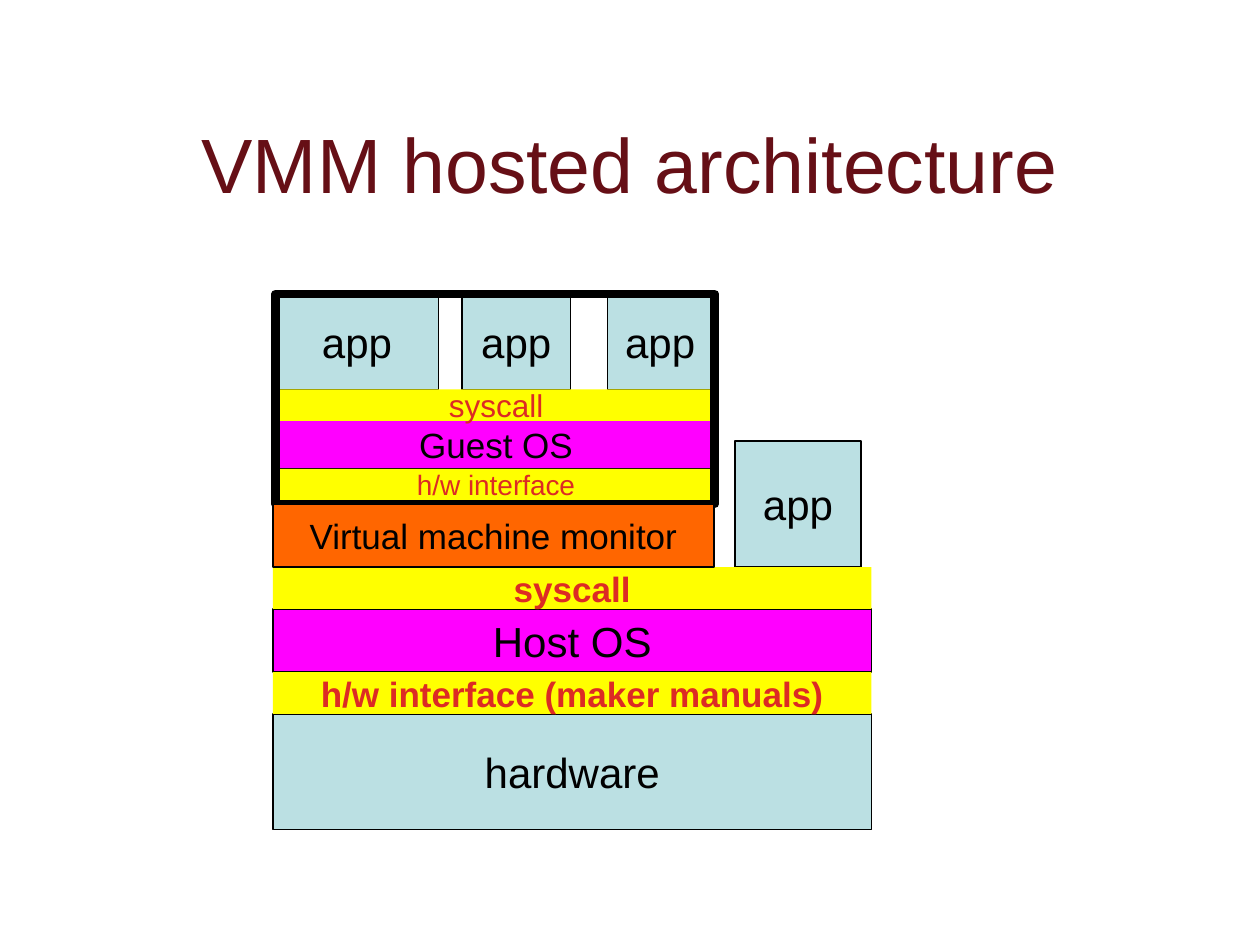
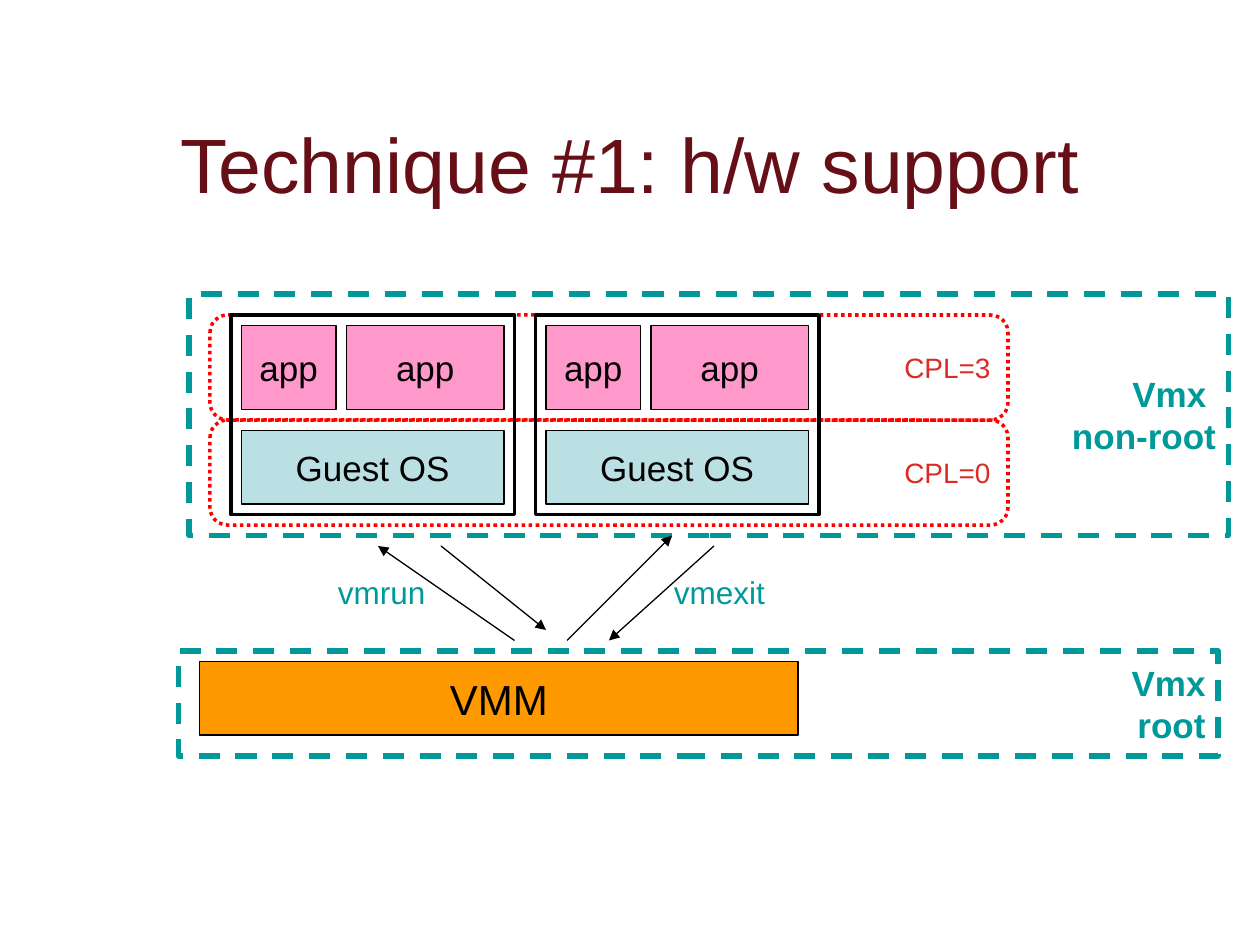
from lxml.etree import SubElement
from pptx import Presentation
from pptx.dml.color import RGBColor
from pptx.enum.dml import MSO_LINE
from pptx.enum.shapes import MSO_CONNECTOR, MSO_SHAPE
from pptx.enum.text import MSO_ANCHOR, MSO_AUTO_SIZE, PP_ALIGN
from pptx.oxml.ns import qn
from pptx.util import Pt

FONT = "Arial"
COLORS = {
    "title": "660F16",
    "black": "000000",
    "pale": "BBE0E3",
    "magenta": "FF00FF",
    "yellow": "FFFF00",
    "monitor": "FF6600",
    "red_text": "DC2B24",
    "ring": "FF0000",
    "pink": "FF99CC",
    "orange": "FF9900",
    "teal": "009999",
}


def color(name):
    """Return the named colour."""
    return RGBColor.from_string(COLORS[name])


def write_text(shape, text, size=20, ink="black", bold=False,
               align=PP_ALIGN.CENTER, anchor=MSO_ANCHOR.MIDDLE,
               wrap=False, auto_size=MSO_AUTO_SIZE.NONE, space_before=None):
    """Put formatted text into a shape."""
    frame = shape.text_frame
    frame.text = text
    frame.word_wrap = wrap
    frame.auto_size = auto_size
    frame.vertical_anchor = anchor
    for paragraph in frame.paragraphs:
        paragraph.alignment = align
        if space_before is not None:
            paragraph.space_before = Pt(space_before)
        for run in paragraph.runs:
            run.font.name = FONT
            run.font.size = Pt(size)
            run.font.bold = bold
            run.font.color.rgb = color(ink)


def add_box(slide, box, text="", fill=None, line="black", width=0.75,
            dash=None, preset=MSO_SHAPE.RECTANGLE, **text_format):
    """Add a preset shape at box (left, top, width, height)."""
    shape = slide.shapes.add_shape(preset, *map(Pt, box))
    shape.shadow.inherit = False
    if fill:
        shape.fill.solid()
        shape.fill.fore_color.rgb = color(fill)
    else:
        shape.fill.background()
    if line:
        shape.line.color.rgb = color(line)
        shape.line.width = Pt(width)
        if dash:
            shape.line.dash_style = dash
    else:
        shape.line.fill.background()
    if text:
        write_text(shape, text, **text_format)
    return shape


def add_arrow(slide, start, end):
    """Add a thin black arrow between two points."""
    connector = slide.shapes.add_connector(
        MSO_CONNECTOR.STRAIGHT, *map(Pt, start + end))
    connector.line.color.rgb = color("black")
    connector.line.width = Pt(0.75)
    properties = connector.element.spPr
    SubElement(properties.find(qn("a:ln")), qn("a:tailEnd"), type="triangle")
    SubElement(properties, qn("a:effectLst"))


def add_label(slide, box, text):
    """Add a teal transition label."""
    label = slide.shapes.add_textbox(*map(Pt, box))
    write_text(label, text, size=18, ink="teal", align=PP_ALIGN.LEFT,
               anchor=MSO_ANCHOR.TOP, wrap=True, space_before=11.2,
               auto_size=MSO_AUTO_SIZE.SHAPE_TO_FIT_TEXT)


def add_titled_slide(presentation, text):
    """Add a title-only slide with the shared title style."""
    slide = presentation.slides.add_slide(presentation.slide_layouts[5])
    title = slide.shapes.title
    title.left, title.top, title.width, title.height = map(Pt, (54, 48, 612, 90))
    write_text(title, text, size=44, ink="title", wrap=True)
    return slide


def add_interface(slide, box, text, **text_format):
    """Add a yellow band that names the interface between two layers."""
    add_box(slide, box, text, fill="yellow", line=None, ink="red_text",
            **text_format)


def draw_host(slide, box):
    """Draw the host layers and its own application."""
    left, top, width, height = box
    add_box(slide, (left, top + 96, width, 36), "Host OS", "magenta", size=24)
    add_box(slide, (left, top + 156, width, height - 156), "hardware", "pale",
            size=24)
    add_box(slide, (left + 264, top, 72, 72), "app", "pale", size=24)
    for offset, text in ((72, "syscall"), (132, "h/w interface (maker manuals)")):
        add_interface(slide, (left, top + offset, width, 24), text, bold=True)


def draw_guest(slide, box):
    """Draw the framed guest machine."""
    left, top, width, height = box
    add_box(slide, (left, top + 72.5, width, 27.5), "Guest OS", "magenta")
    for offset, app_width in ((0, 93), (106.5, 62), (189.5, 60.5)):
        add_box(slide, (left + offset, top, app_width, 54.5), "app", "pale",
                size=24)
    for offset, text, size in ((54.5, "syscall", 18), (100, "h/w interface", 16)):
        add_interface(slide, (left, top + offset, width, 18), text, size=size)
    add_box(slide, (left, top, width - 1, height), width=5)


def draw_virtual_machine(slide, box):
    """Draw a machine with two applications over a guest system."""
    left, top, width, height = box
    add_box(slide, box, width=2)
    for offset, app_width in ((6, 54), (66, 90)):
        add_box(slide, (left + offset, top + 6, app_width, 48), "app", "pink")
    add_box(slide, (left + 6, top + 66, width - 12, height - 72), "Guest OS",
            "pale")


def draw_mode(slide, box, text):
    """Draw the dashed outline of a processor mode."""
    add_box(slide, box, text, line="teal", width=3, dash=MSO_LINE.DASH,
            ink="teal", bold=True, align=PP_ALIGN.RIGHT)


def draw_non_root(slide, box):
    """Draw the non-root mode with privilege rings and two machines."""
    left, top = box[:2]
    for row, text in enumerate(("CPL=3", "CPL=0")):
        add_box(slide, (left + 12, top + 12 + 60 * row, 456, 60), text,
                line="ring", width=2, dash=MSO_LINE.ROUND_DOT,
                preset=MSO_SHAPE.ROUNDED_RECTANGLE, size=16, ink="red_text",
                align=PP_ALIGN.RIGHT)
    for column in range(2):
        draw_virtual_machine(
            slide, (left + 24 + 174 * column, top + 12, 162, 114))
    draw_mode(slide, box, "Vmx \nnon-root")


def draw_root(slide, box):
    """Draw the root mode with its monitor."""
    left, top = box[:2]
    add_box(slide, (left + 12, top + 6, 342, 42), "VMM", "orange", size=24)
    draw_mode(slide, box, "Vmx\vroot")


def draw_transitions(slide, box):
    """Draw the arrows and labels between the two modes."""
    left, top, width, height = box
    bottom = top + height
    arrows = (
        ((left + 78, bottom), (left, top + 6)),
        ((left + 108, bottom), (left + 168, top)),
        ((left + width, top + 6), (left + 132, bottom)),
        ((left + 36, top + 6), (left + 96, bottom - 6)),
    )
    for start, end in arrows:
        add_arrow(slide, start, end)
    for offset, text in ((-30, "vmrun"), (162, "vmexit")):
        add_label(slide, (left + offset, top + 18, 70.5, 29), text)


def build_hosted_slide(presentation):
    """Build the hosted architecture slide."""
    slide = add_titled_slide(presentation, "VMM hosted architecture")
    draw_host(slide, (156, 252, 342, 222))
    draw_guest(slide, (157.5, 168, 252, 120))
    add_box(slide, (156, 288, 252, 36), "Virtual machine monitor", "monitor")


def build_support_slide(presentation):
    """Build the hardware support slide."""
    slide = add_titled_slide(presentation, "Technique #1: h/w support")
    draw_non_root(slide, (108, 168, 594, 138))
    draw_root(slide, (102, 372, 594, 60))
    draw_transitions(slide, (216, 306, 192, 60))


def main():
    """Build and save the presentation."""
    presentation = Presentation()
    presentation.slide_width = Pt(720)
    presentation.slide_height = Pt(540)
    build_hosted_slide(presentation)
    build_support_slide(presentation)
    presentation.save("out.pptx")


if __name__ == "__main__":
    main()
